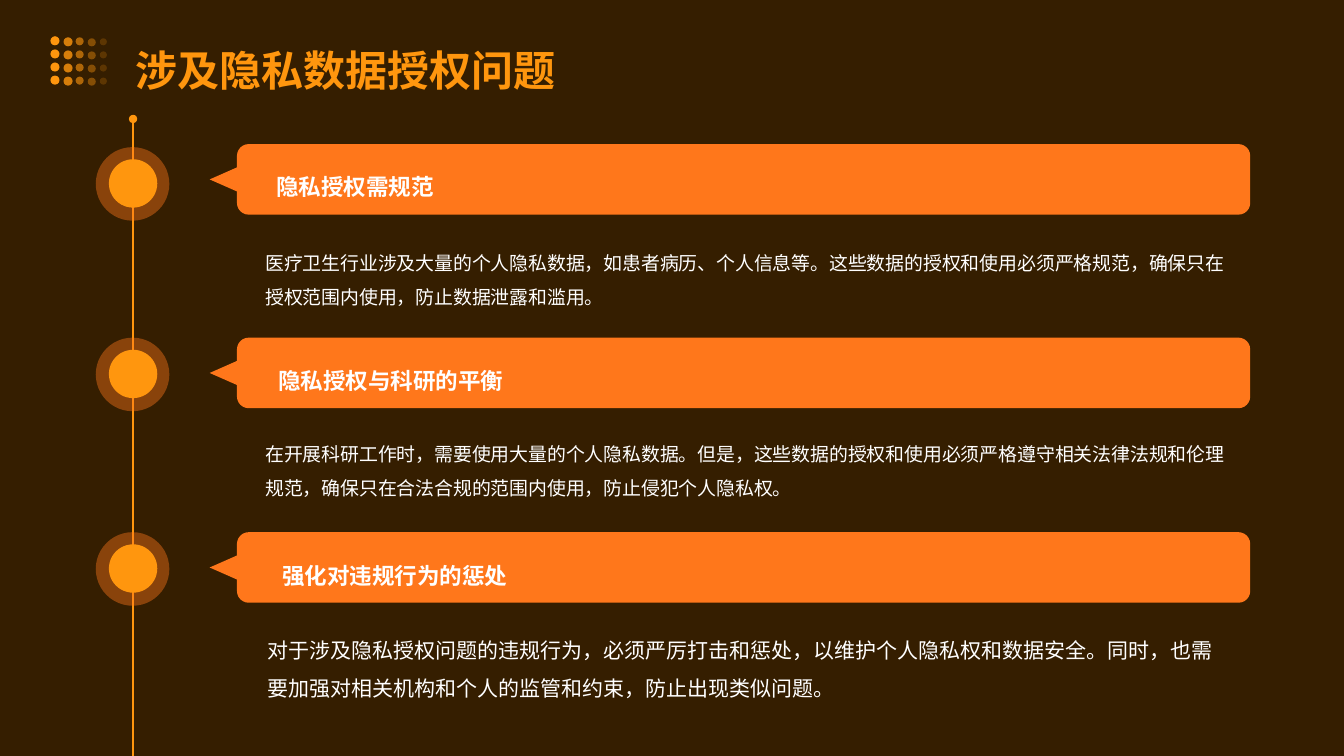
from dataclasses import dataclass

from pptx import Presentation
from pptx import util as u
from pptx.dml.color import RGBColor
from pptx.enum import shapes, text
from pptx.oxml.ns import qn
from lxml import etree

PX = 9144
FONT = "Noto Sans CJK SC"
BROWN, ORANGE, AMBER, WHITE = "351E00", "FF771B", "FF960E", "FFFFFF"
OVAL = shapes.MSO_SHAPE.OVAL


@dataclass(frozen=True)
class Box:
    left: int
    top: int
    width: int
    height: int

    def emu(self) -> tuple[int, ...]:
        return tuple(px(n) for n in (self.left, self.top, self.width, self.height))


@dataclass(frozen=True)
class Milestone:
    heading: str
    detail: str
    bar_top: int
    halo_top: int
    heading_box: Box
    detail_box: Box
    detail_size: float


@dataclass(frozen=True)
class DotColumn:
    left: int
    drop: int
    size: int
    opacity: int


MILESTONES = (
    Milestone(
        "隐私授权需规范",
        "医疗卫生行业涉及大量的个人隐私数据，如患者病历、个人信息等。这些数据的授权和使用必须严格规范，"
        "确保只在授权范围内使用，防止数据泄露和滥用。",
        143, 146, Box(260, 138, 782, 80), Box(249, 224, 981, 98), 13.5,
    ),
    Milestone(
        "隐私授权与科研的平衡",
        "在开展科研工作时，需要使用大量的个人隐私数据。但是，这些数据的授权和使用必须严格遵守相关法律法规和伦理规范，"
        "确保只在合法合规的范围内使用，防止侵犯个人隐私权。",
        335, 335, Box(262, 331, 782, 80), Box(249, 414, 978, 98), 13.5,
    ),
    Milestone(
        "强化对违规行为的惩处",
        "对于涉及隐私授权问题的违规行为，必须严厉打击和惩处，以维护个人隐私权和数据安全。同时，"
        "也需要加强对相关机构和个人的监管和约束，防止出现类似问题。",
        528, 528, Box(266, 524, 782, 80), Box(251, 606, 975, 105), 15,
    ),
)

DOT_COLUMNS = (
    DotColumn(50, 0, 9, 100),
    DotColumn(63, 1, 9, 80),
    DotColumn(75, 1, 8, 60),
    DotColumn(87, 2, 8, 40),
    DotColumn(99, 2, 7, 20),
)
DOT_ROWS, DOT_TOP, DOT_STEP = 4, 36, 13


def px(length: int) -> int:
    return u.Emu(length * PX)


def colour(value: str) -> RGBColor:
    return RGBColor.from_string(value)


def draw_shape(parent, kind, box: Box, fill: str, opacity: int = 100, rotation: int = 0) -> None:
    drawn = parent.add_shape(kind, *box.emu())
    drawn.shadow.inherit = False
    drawn.rotation = rotation
    drawn.fill.solid()
    drawn.fill.fore_color.rgb = colour(fill)
    drawn.line.fill.background()
    if opacity < 100:
        tint = drawn._element.spPr.find(qn("a:solidFill"))[0]
        etree.SubElement(tint, qn("a:alpha"), val=str(opacity * 1000))


def write(holder, words: str, size: float, ink: str, bold: bool, spacing: float, anchor) -> None:
    frame = holder.text_frame
    frame.word_wrap = True
    frame.auto_size = text.MSO_AUTO_SIZE.SHAPE_TO_FIT_TEXT
    frame.vertical_anchor = anchor
    frame.margin_left = frame.margin_top = frame.margin_bottom = px(14)
    frame.margin_right = px(6)
    paragraph = frame.paragraphs[0]
    paragraph.alignment = text.PP_ALIGN.LEFT
    paragraph.line_spacing = spacing
    run = paragraph.add_run()
    run.text = words
    run.font.size = u.Pt(size)
    run.font.bold = bold
    run.font.color.rgb = colour(ink)
    run.font.name = FONT
    etree.SubElement(run._r.get_or_add_rPr(), qn("a:ea"), typeface=FONT)


def draw_timeline(slide) -> None:
    timeline = slide.shapes.add_connector(
        shapes.MSO_CONNECTOR.STRAIGHT, px(132), px(118), px(132), px(750)
    )
    timeline.line.color.rgb = colour(AMBER)
    timeline.line.width = u.Pt(1.5)
    etree.SubElement(timeline.line._get_or_add_ln(), qn("a:headEnd"), type="oval")
    etree.SubElement(timeline._element.spPr, qn("a:effectLst"))


def draw_milestone(slide, item: Milestone) -> None:
    parts = slide.shapes
    draw_shape(parts, OVAL, Box(95, item.halo_top, 73, 73), ORANGE, opacity=42)
    draw_shape(parts, OVAL, Box(108, item.halo_top + 12, 48, 48), AMBER)
    draw_shape(parts, shapes.MSO_SHAPE.ROUNDED_RECTANGLE, Box(235, item.bar_top, 1005, 70), ORANGE)
    draw_shape(parts, shapes.MSO_SHAPE.ISOSCELES_TRIANGLE,
               Box(210, item.bar_top + 18, 30, 34), ORANGE, rotation=270)
    write(parts.add_textbox(*item.heading_box.emu()), item.heading, 16.1, WHITE, True, 1.5,
          text.MSO_ANCHOR.MIDDLE)
    write(parts.add_textbox(*item.detail_box.emu()), item.detail, item.detail_size, WHITE, False, 1.5,
          text.MSO_ANCHOR.TOP)


def draw_dots(slide) -> None:
    dots = slide.shapes.add_group_shape()
    for row in range(DOT_ROWS):
        for column in DOT_COLUMNS:
            top = DOT_TOP + row * DOT_STEP + column.drop
            draw_shape(dots.shapes, OVAL, Box(column.left, top, column.size, column.size),
                       AMBER, opacity=column.opacity)


def main() -> None:
    deck = Presentation()
    deck.slide_width, deck.slide_height = px(1333), px(750)
    slide = deck.slides.add_slide(deck.slide_layouts[5])
    slide.background.fill.solid()
    slide.background.fill.fore_color.rgb = colour(BROWN)

    title = slide.shapes.title
    title.left, title.top, title.width, title.height = Box(120, 10, 1094, 100).emu()
    write(title, "涉及隐私数据授权问题", 30, AMBER, True, 1.4, text.MSO_ANCHOR.TOP)

    draw_timeline(slide)
    for item in MILESTONES:
        draw_milestone(slide, item)
    draw_dots(slide)
    deck.save("out.pptx")


if __name__ == "__main__":
    main()
